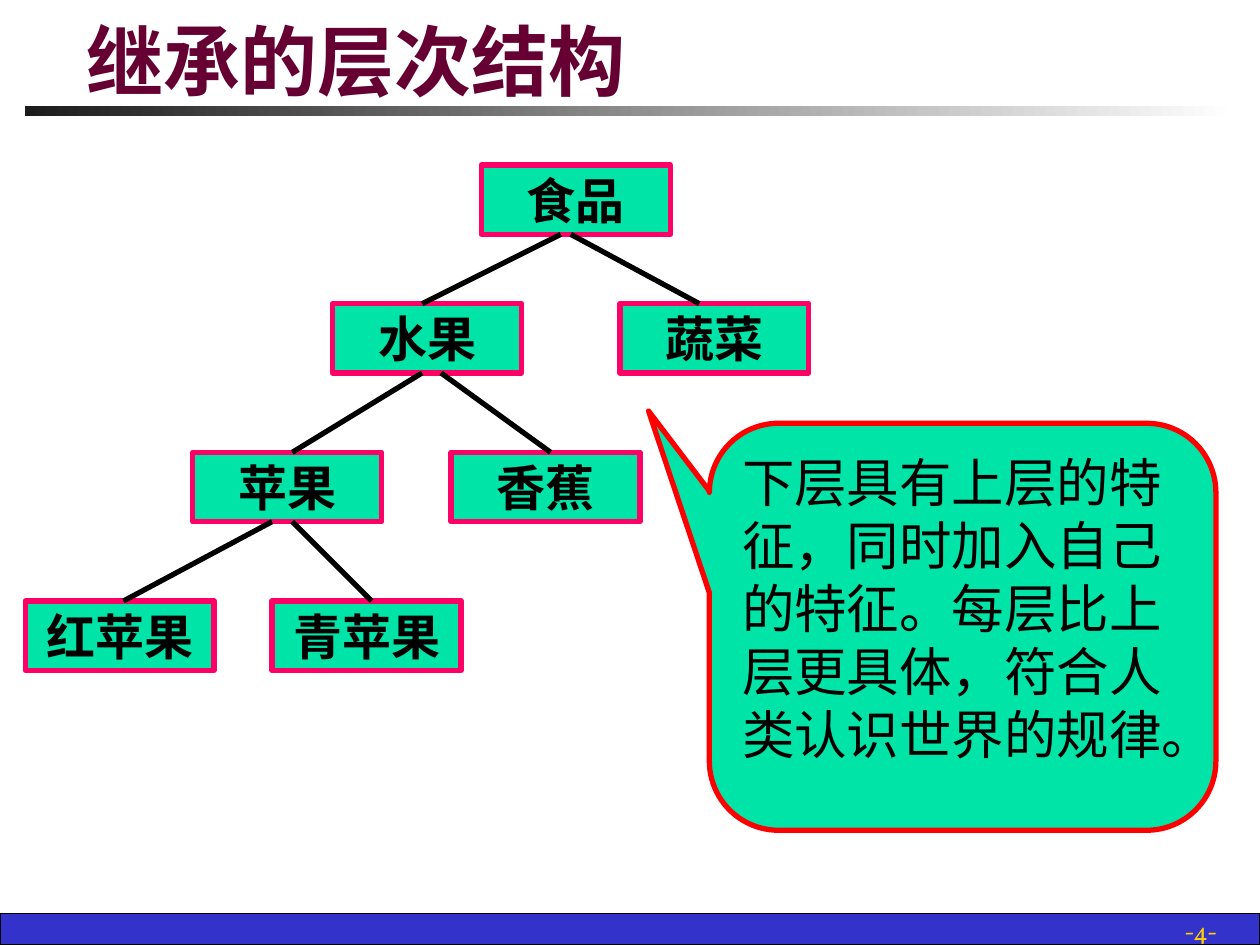
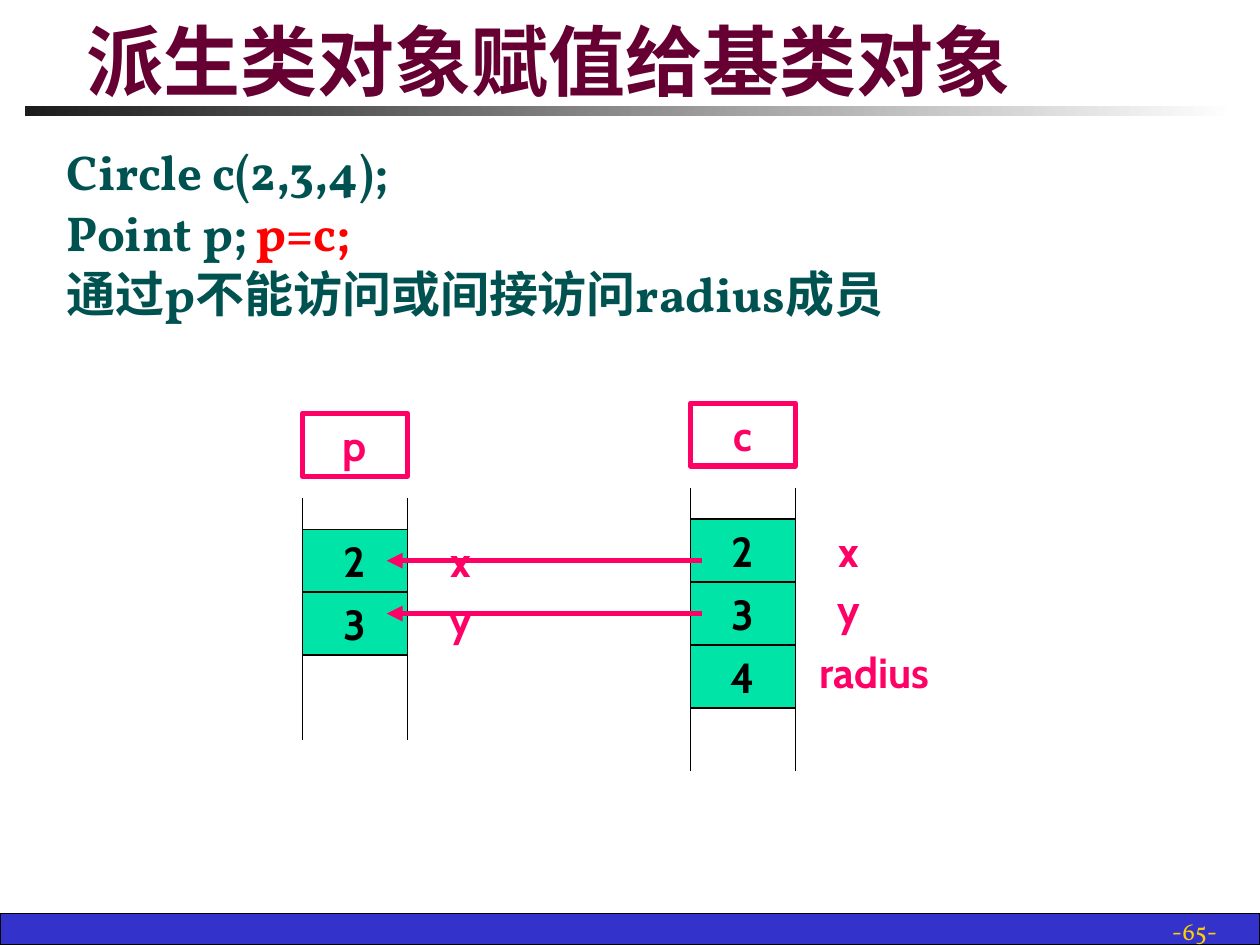
from lxml.etree import SubElement
from pptx import Presentation
from pptx.dml.color import RGBColor
from pptx.enum.dml import MSO_LINE
from pptx.enum.lang import MSO_LANGUAGE_ID
from pptx.enum.shapes import MSO_CONNECTOR, MSO_SHAPE
from pptx.enum.text import MSO_ANCHOR, MSO_AUTO_SIZE, PP_ALIGN
from pptx.oxml.ns import qn
from pptx.util import Inches, Pt

COLUMNS, ROWS = 100, 75
WIDTH, HEIGHT = Inches(10), Inches(7.5)

GREEN, PINK, RED, BLACK = "00E4A8", "FF0066", "FF0000", "000000"
WINE, TEAL, GOLD, BLUE = "660033", "005250", "FFCF01", "3333CC"

CHINESE = MSO_LANGUAGE_ID.SIMPLIFIED_CHINESE
TITLE = dict(name="Comic Neue", size=Pt(44), bold=True, color=WINE, language_id=CHINESE)
BODY = dict(name="Vollkorn", size=Pt(28), bold=True, color=TEAL, language_id=CHINESE)
PAGE = dict(name="Vollkorn", size=Pt(14), color=GOLD)
NODE = dict(name="Cabin", size=Pt(28), bold=True, color=BLACK, language_id=CHINESE)
REMARK = dict(NODE, size=Pt(30), bold=False)
CELL = dict(name="Cabin", size=Pt(24), bold=True, color=BLACK)
MEMBER = dict(CELL, color=PINK)

CENTERED = dict(vertical_anchor=MSO_ANCHOR.MIDDLE, word_wrap=False)
ON_BOTTOM = dict(vertical_anchor=MSO_ANCHOR.BOTTOM, word_wrap=True, margin_bottom=0)
FROM_TOP = dict(vertical_anchor=MSO_ANCHOR.TOP, word_wrap=True)


def rgb(code):
    return RGBColor.from_string(code)


def set_values(target, values):
    for attribute, value in values.items():
        if attribute == "color":
            target.color.rgb = rgb(value)
        else:
            setattr(target, attribute, value)


def grid(left, top, width, height):
    """Turn columns and rows into slide lengths."""
    column, row = WIDTH / COLUMNS, HEIGHT / ROWS
    return [round(n) for n in (left * column, top * row, width * column, height * row)]


class Deck:
    def __init__(self):
        self.file = Presentation()
        self.file.slide_width, self.file.slide_height = WIDTH, HEIGHT
        self.slide = None

    def new_slide(self, layout, heading, page):
        """Start a slide with its title, rule, footer band and page mark."""
        self.slide = self.file.slides.add_slide(self.file.slide_layouts[layout])
        self.box((0, 72.5, 100, 2.5), BLUE, BLACK, 0.75)
        rule = self.box((2, 8.4, 96.1, 0.8))
        rule.fill.gradient()
        rule.fill.gradient_angle = 0
        for stop, shade in zip(rule.fill.gradient_stops, ("1C1C1C", "FFFFFF")):
            stop.color.rgb = rgb(shade)
        self.text((76.8, 71.7, 20.8, 3.3), page, PAGE, PP_ALIGN.RIGHT, ON_BOTTOM)
        title = self.place(self.slide.shapes.title, (5.9, 1.3, 87.2, 7.1))
        self.fill_text(title, heading, TITLE, PP_ALIGN.LEFT, ON_BOTTOM)

    def place(self, shape, area):
        set_values(shape, dict(zip(("left", "top", "width", "height"), grid(*area))))
        return shape

    def fill_text(self, shape, words, font, align, frame_format):
        frame = shape.text_frame
        set_values(frame, dict(frame_format, auto_size=MSO_AUTO_SIZE.NONE))
        paragraph = frame.paragraphs[0]
        paragraph.alignment = align
        self.add_words(paragraph, words, font)

    def add_words(self, paragraph, words, font):
        run = paragraph.add_run()
        run.text = words
        set_values(run.font, font)

    def text(self, area, words, font, align=PP_ALIGN.CENTER, frame_format=CENTERED):
        label = self.slide.shapes.add_textbox(*grid(*area))
        self.fill_text(label, words, font, align, frame_format)

    def box(self, area, fill=None, outline=None, weight=3, preset=MSO_SHAPE.RECTANGLE):
        shape = self.slide.shapes.add_shape(preset, *grid(*area))
        shape.shadow.inherit = False
        if fill:
            shape.fill.solid()
            shape.fill.fore_color.rgb = rgb(fill)
        else:
            shape.fill.background()
        if outline:
            self.stroke(shape.line, outline, weight)
        else:
            shape.line.fill.background()
        return shape

    def labelled_box(self, area, words, font, fill=None, outline=PINK, weight=3):
        self.fill_text(self.box(area, fill, outline, weight), words, font,
                       PP_ALIGN.CENTER, CENTERED)

    def stroke(self, line, color, weight):
        set_values(line, dict(color=color, width=Pt(weight), dash_style=MSO_LINE.SOLID))

    def line(self, start, end, color=BLACK, weight=3, arrow=False):
        link = self.slide.shapes.add_connector(MSO_CONNECTOR.STRAIGHT, *grid(*start, *end))
        self.stroke(link.line, color, weight)
        properties = link._element.spPr
        if arrow:
            SubElement(properties.find(qn("a:ln")), qn("a:tailEnd"), type="triangle")
        SubElement(properties, qn("a:effectLst"))

    def callout(self, area, words, adjustments):
        bubble = self.box(area, GREEN, RED, preset=MSO_SHAPE.ROUNDED_RECTANGULAR_CALLOUT)
        for index, value in enumerate(adjustments):
            bubble.adjustments[index] = value
        self.fill_text(bubble, words, REMARK, PP_ALIGN.LEFT, FROM_TOP)

    def body(self, area, lines, tab):
        """Fill the body with lines of (words, colour) parts set apart by a tab."""
        frame = self.place(self.slide.placeholders[1], area).text_frame
        set_values(frame, dict(FROM_TOP, auto_size=MSO_AUTO_SIZE.NONE))
        for index, parts in enumerate(lines):
            paragraph = frame.add_paragraph() if index else frame.paragraphs[0]
            properties = paragraph._p.get_or_add_pPr()
            properties.set("marL", "0")
            properties.set("indent", "0")
            SubElement(properties, qn("a:buNone"))
            stops = SubElement(properties, qn("a:tabLst"))
            SubElement(stops, qn("a:tab"), pos=str(grid(tab, 0, 0, 0)[0]), algn="l")
            paragraph.space_before = Pt(1.4 if index else 0)
            for words, color in parts:
                self.add_words(paragraph, words, dict(BODY, color=color))

    def memory(self, left, top, name, values, members, rail):
        """Draw an object's name, its memory cells between two rails, and member names."""
        width, height = 8.33, 5
        cells_top = top + 9.2
        self.labelled_box((left, top, width, height), name, MEMBER)
        for x in (left, left + width):
            self.line((x, top + 6.7), (x, top + 6.7 + rail), weight=0.75)
        for index, (value, member) in enumerate(zip(values, members)):
            y = cells_top + index * height
            self.labelled_box((left, y, width, height), value, CELL, GREEN, BLACK, 0.75)
            self.text((left + 9.2, y, 10.8 if len(member) > 1 else 6.7, 4.2 if index else 5),
                      member, MEMBER)


def hierarchy_slide(deck):
    deck.new_slide(5, "继承的层次结构", "-4-")
    node_width, node_height = 15, 5.5
    level_tops = (13.1, 24.1, 35.9, 47.7)
    levels = (
        [("食品", 38.2)],
        [("水果", 26.4), ("蔬菜", 49.2)],
        [("苹果", 15.3), ("香蕉", 35.8)],
        [("红苹果", 2), ("青苹果", 21.6)],
    )
    branches = (
        [(44.5, 33.5), (45.3, 55.5)],
        [(33.5, 23.2), (35, 43.7)],
        [(21.6, 9.8), (23.2, 29.5)],
    )
    for top, nodes in zip(level_tops, levels):
        for name, left in nodes:
            deck.labelled_box((left, top, node_width, node_height), name, NODE, GREEN)
    for top, next_top, pair in zip(level_tops, level_tops[1:], branches):
        for parent, child in pair:
            deck.line((parent, top + node_height), (child, next_top))
    deck.callout((56.3, 33.6, 40.2, 32.3),
                 "下层具有上层的特征，同时加入自己的特征。每层比上层更具体，符合人类认识世界的规律。",
                 (-0.62, -0.53, 0.17))


def assignment_slide(deck):
    deck.new_slide(1, "派生类对象赋值给基类对象", "-65-")
    deck.body((4.3, 10.7, 91.4, 56.7), (
        [("Circle c(2,3,4);", TEAL)],
        [("Point p;\t", TEAL), ("p=c;", RED)],
        [("通过p不能访问或间接访问radius成员", TEAL)],
    ), tab=17.5)
    deck.memory(24, 32.8, "p", "23", "xy", rail=19.2)
    deck.memory(54.8, 32, "c", "234", ("x", "y", "radius"), rail=22.5)
    for row in (44.5, 48.7):
        deck.line((55.7, row), (30.7, row), PINK, arrow=True)


def main():
    deck = Deck()
    hierarchy_slide(deck)
    assignment_slide(deck)
    deck.file.save("out.pptx")


if __name__ == "__main__":
    main()
